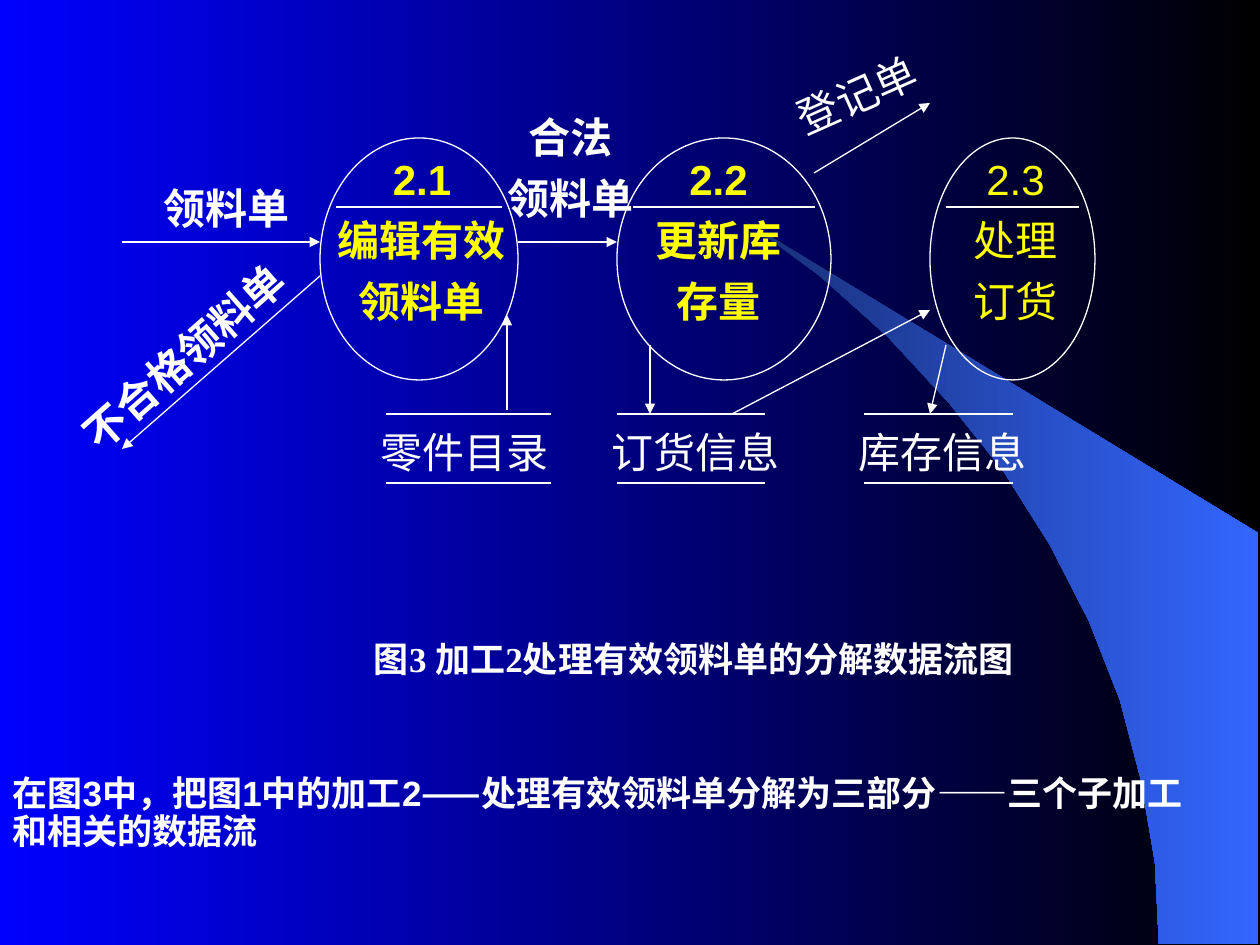
from math import cos, radians, sin

from lxml import etree
from pptx import Presentation
from pptx.dml.color import RGBColor
from pptx.enum.shapes import MSO_CONNECTOR, MSO_SHAPE
from pptx.enum.text import PP_ALIGN
from pptx.oxml.ns import qn
from pptx.util import Emu, Pt

STRAIGHT = MSO_CONNECTOR.STRAIGHT
ELLIPSE = MSO_SHAPE.OVAL
LEFT, CENTER = PP_ALIGN.LEFT, PP_ALIGN.CENTER
EMU_PER_PX = 914400 / 126
WHITE, YELLOW, BLUE = "FFFFFF", "FFFF00", "3366FF"
LATIN, SERIF, CJK = "Arial", "Times New Roman", "Noto Sans CJK SC"

ARC_WIDTH, ARC_HEIGHT = 1159, 944
ARC_CONTROLS = [(640, 0), (1159, 422), (1159, 944)]
WEDGE_ANGLES = range(40, 91, 5)
WEDGE_CORNERS = [(1258, 944), (1258, 533)]

PROCESS_TOP, PROCESS_HEIGHT, DIVIDER_Y, DIVIDER_INSET = 138, 242, 207, 16
PROCESSES = [
    (320, 198, 321, 202, ["2.1", "编辑有效", "领料单"], True),
    (617, 214, 639, 159, ["2.2", "更新库", "存量"], True),
    (930, 165, 936, 159, ["2.3", "处理", "订货"], False),
]

STORE_TOP, STORE_BOTTOM = 414, 483
STORES = [
    (386, 551, 368, 212, "零件目录"),
    (617, 765, 599, 202, "订货信息"),
    (864, 1013, 846, 202, "库存信息"),
]

FLOWS = [
    (946, 345, 930, 414),
    (732, 414, 930, 310),
    (122, 242, 320, 242),
    (518, 242, 617, 242),
    (814, 173, 930, 103),
    (320, 276, 122, 449),
    (650, 345, 650, 414),
    (507, 410, 507, 315),
]

FLOW_LABELS = [
    ((151, 176, 159, 63), ["领料单"], True, LEFT, 0),
    ((491, 105, 159, 125), ["合法", "领料单"], True, CENTER, 0),
    ((777, 63, 159, 63), ["登记单"], False, CENTER, -24),
    ((35, 325, 297, 63), ["不合格领料单"], True, CENTER, -41.5),
]

CAPTION = "图3 加工2处理有效领料单的分解数据流图"
NOTE = [
    ("在图3中，把图1中的加工2", LATIN),
    ("——", CJK),
    ("处理有效领料单分解为三部分", LATIN),
    ("——", CJK),
    ("三个子加工和相关的数据流", LATIN),
]


def px(*lengths):
    """Turn px lengths into EMU."""
    return [Emu(round(length * EMU_PER_PX)) for length in lengths]


def rgb(code):
    """Turn a hex string into a colour."""
    return RGBColor.from_string(code)


def set_gradient(fill, colors):
    """Fill from left to right between two colours."""
    fill.gradient()
    fill.gradient_angle = 0
    for stop, color in zip(fill.gradient_stops, colors):
        stop.color.rgb = rgb(color)


def add_line(shapes, x1, y1, x2, y2, arrow=False):
    """Draw a thin white line, with an arrowhead if asked."""
    connector = shapes.add_connector(STRAIGHT, *px(x1, y1, x2, y2))
    connector.line.color.rgb = rgb(WHITE)
    connector.line.width = Pt(0.75)
    if arrow:
        etree.SubElement(connector.line._get_or_add_ln(), qn("a:tailEnd"), type="triangle")
    etree.SubElement(connector._element.spPr, qn("a:effectLst"))


def format_font(font, size, color, bold, name):
    """Set the look of a run."""
    font.size, font.bold, font.name = Pt(size), bold, name
    font.color.rgb = rgb(color)


def add_text(shapes, box, lines, bold, align=CENTER, color=WHITE, size=24, name=LATIN):
    """Add a text box with one paragraph a line."""
    label = shapes.add_textbox(*px(*box))
    frame = label.text_frame
    frame.word_wrap = True
    frame.text = "\n".join(lines)
    for index, paragraph in enumerate(frame.paragraphs):
        paragraph.alignment = align
        paragraph.space_before = Pt(6 if index else 0)
        for run in paragraph.runs:
            format_font(run.font, size, color, bold, name)
    return label


def add_outline(shapes, points, closed):
    """Draw a freeform through px points."""
    builder = shapes.build_freeform(*points[0], scale=EMU_PER_PX)
    builder.add_line_segments(points[1:], close=closed)
    outline = builder.convert_to_shape()
    outline.shadow.inherit = False
    return outline


def add_arc(shapes):
    """Draw the quarter ellipse as one curve."""
    arc = add_outline(shapes, [(0, 0), (ARC_WIDTH, ARC_HEIGHT)], False)
    segment = next(arc._element.iter(qn("a:lnTo")))
    curve = etree.Element(qn("a:cubicBezTo"))
    for x, y in ARC_CONTROLS:
        across, down = px(x, y)
        etree.SubElement(curve, qn("a:pt"), x=str(int(across)), y=str(int(down)))
    segment.getparent().replace(segment, curve)
    arc.fill.background()
    arc.line.color.rgb = rgb(BLUE)
    arc.line.width = Pt(1)


def add_backdrop(slide):
    """Draw the background, the wedge and the arc."""
    set_gradient(slide.background.fill, ("0000FF", "000000"))
    edge = [
        (round(ARC_WIDTH * sin(radians(angle))), round(ARC_HEIGHT * (1 - cos(radians(angle)))))
        for angle in WEDGE_ANGLES
    ]
    wedge = add_outline(slide.shapes, edge + WEDGE_CORNERS, True)
    set_gradient(wedge.fill, ("182F76", BLUE))
    wedge.line.fill.background()
    add_arc(slide.shapes)


def add_diagram(shapes):
    """Draw the flows, processes and stores."""
    for flow in FLOWS:
        add_line(shapes, *flow, arrow=True)
    for box, lines, bold, align, rotation in FLOW_LABELS:
        add_text(shapes, box, lines, bold, align).rotation = rotation
    for left, width, text_left, text_width, lines, bold in PROCESSES:
        process = shapes.add_shape(ELLIPSE, *px(left, PROCESS_TOP, width, PROCESS_HEIGHT))
        process.shadow.inherit = False
        process.fill.background()
        process.line.color.rgb = rgb(WHITE)
        process.line.width = Pt(0.75)
        right = left + width - DIVIDER_INSET
        add_line(shapes, left + DIVIDER_INSET, DIVIDER_Y, right, DIVIDER_Y)
        add_text(shapes, (text_left, 147, text_width, 185), lines, bold, color=YELLOW)
    for left, right, text_left, text_width, store in STORES:
        for y in (STORE_TOP, STORE_BOTTOM):
            add_line(shapes, left, y, right, y)
        add_text(shapes, (text_left, 420, text_width, 63), [store], False, LEFT)


def add_note(shapes):
    """Add the explanation below the diagram."""
    frame = shapes.add_textbox(*px(0, 770, 1206, 88)).text_frame
    frame.word_wrap = True
    paragraph = frame.paragraphs[0]
    paragraph.line_spacing = 0.9
    for text, name in NOTE:
        run = paragraph.add_run()
        run.text = text
        format_font(run.font, 20, WHITE, True, name)


def main():
    """Build the slide and save it."""
    deck = Presentation()
    deck.slide_width, deck.slide_height = px(1260, 945)
    slide = deck.slides.add_slide(deck.slide_layouts[6])
    add_backdrop(slide)
    add_diagram(slide.shapes)
    add_text(slide.shapes, (173, 631, 1042, 55), [CAPTION], True, size=20, name=SERIF)
    add_note(slide.shapes)
    deck.save("out.pptx")


if __name__ == "__main__":
    main()
